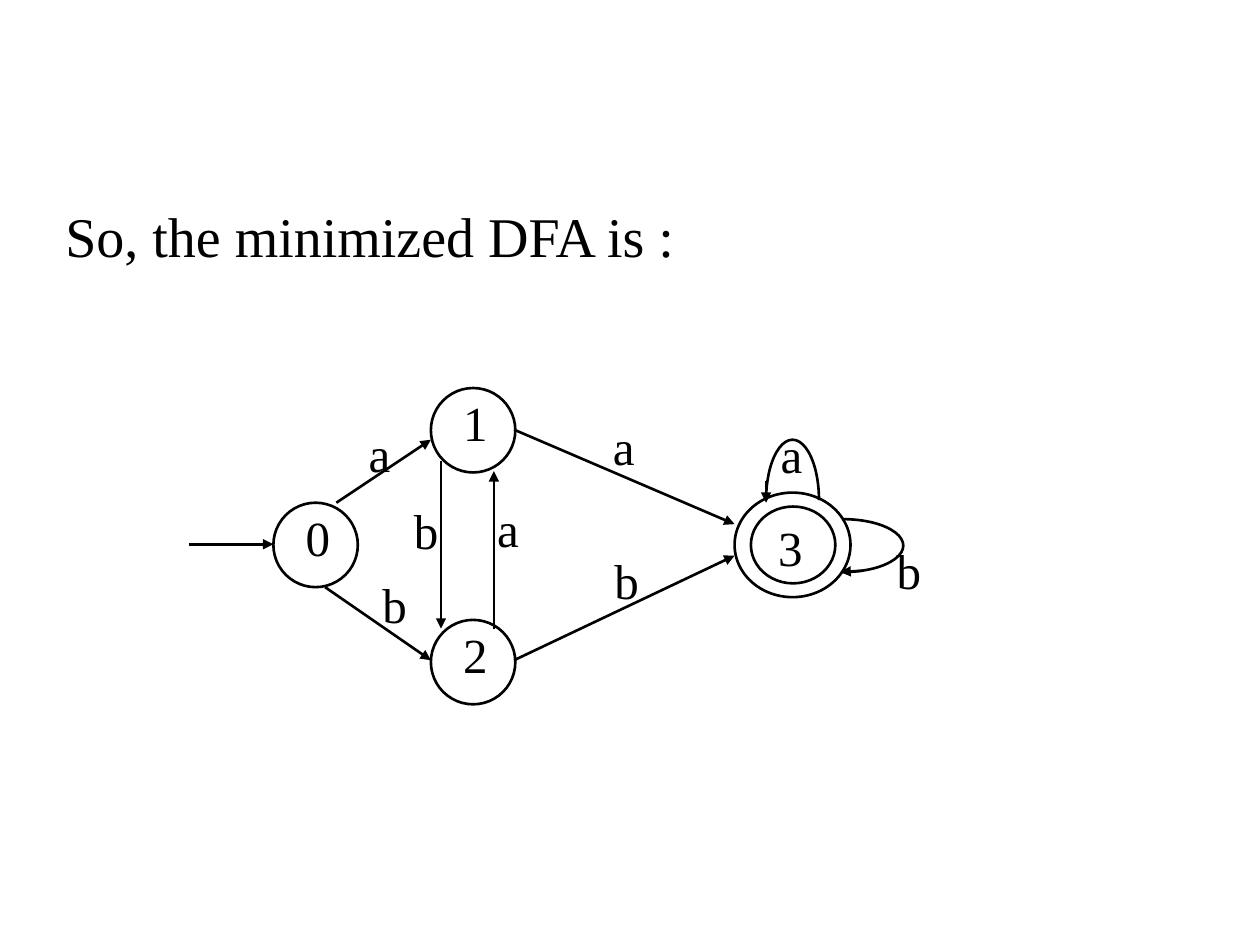
from dataclasses import dataclass

from lxml.etree import SubElement
from pptx import Presentation
from pptx.dml.color import RGBColor
from pptx.enum.shapes import MSO_CONNECTOR, MSO_SHAPE
from pptx.enum.text import MSO_AUTO_SIZE
from pptx.oxml.ns import qn
from pptx.util import Inches, Pt


@dataclass(frozen=True)
class Theme:
    ink: RGBColor = RGBColor(0, 0, 0)
    font: str = "Times New Roman"
    title: Pt = Pt(32)
    label: Pt = Pt(28)
    stroke: Pt = Pt(1.5)


THEME = Theme()
STATE_SIZE = 0.67

# All diagram coordinates are inches from its top left corner
STATES = {"0": (0.67, 0.91), "1": (1.92, 0), "2": (1.92, 1.84)}
FINAL_RINGS = [(4.33, 0.83, 0.92, 0.83), (4.46, 0.94, 0.67, 0.61)]
FINAL_LABEL = ("3", 4.48, 0.98)

# Each transition: symbol, place of the symbol, start and end of the arrow
TRANSITIONS = [
    ("", None, (0, 1.24), (0.67, 1.24)),
    ("a", (1.23, 0.23), (1.17, 0.91), (1.92, 0.41)),
    ("b", (1.34, 1.43), (1.08, 1.58), (1.92, 2.16)),
    ("b", (1.59, 0.84), (2, 0.58), (2, 1.91)),
    ("a", (2.25, 0.83), (2.42, 1.91), (2.42, 0.66)),
    ("a", (3.17, 0.18), (2.58, 0.33), (4.33, 1.08)),
    ("b", (3.18, 1.24), (2.58, 2.16), (4.33, 1.33)),
    ("a", (4.5, 0.24), (4.58, 0.74), (4.58, 0.91)),
    ("b", (5.42, 1.16), (5.34, 1.45), (5.17, 1.46)),
]

# Half ellipses of the self loops: box, start and end angle
LOOPS = [
    ((4.58, 0.41, 0.42, 0.96), 180, 0),
    ((4.71, 1.04, 0.96, 0.42), 270, 90),
]


def set_line(line):
    line.color.rgb = THEME.ink
    line.width = THEME.stroke


def add_text(slide, box, text, size, **frame):
    tf = slide.shapes.add_textbox(*map(Inches, box)).text_frame
    for name, value in frame.items():
        setattr(tf, name, value)
    p = tf.paragraphs[0]
    r = p.add_run()
    r.text = text
    for name, value in {"name": THEME.font, "size": size}.items():
        setattr(r.font, name, value)
    r.font.color.rgb = THEME.ink
    return p


def add_outline(slide, kind, box):
    sp = slide.shapes.add_shape(kind, *map(Inches, box))
    sp.shadow.inherit = False
    sp.fill.background()
    set_line(sp.line)
    return sp


def add_arrow(slide, start, end):
    cxn = slide.shapes.add_connector(
        MSO_CONNECTOR.STRAIGHT, *map(Inches, (*start, *end)))
    set_line(cxn.line)
    SubElement(cxn.line._get_or_add_ln(), qn("a:tailEnd"), type="triangle")
    SubElement(cxn._element.spPr, qn("a:effectLst"))


def add_title(slide, box):
    p = add_text(slide, box, "So, the minimized DFA is :", THEME.title,
                 word_wrap=True, margin_top=Inches(0.1))
    pPr = p._p.get_or_add_pPr()
    for name, value in {"marL": 0.38, "indent": -0.38}.items():
        pPr.set(name, str(Inches(value)))


def add_automaton(slide, box):
    left, top = box[:2]

    def at(x, y, *size):
        return (left + x, top + y, *size)

    def label(text, x, y):
        width = 0.47 if text == "a" else 0.49
        add_text(slide, at(x, y, width, 0.57), f" {text}", THEME.label,
                 word_wrap=False, auto_size=MSO_AUTO_SIZE.SHAPE_TO_FIT_TEXT)

    # States
    for name, (x, y) in STATES.items():
        add_outline(slide, MSO_SHAPE.OVAL, at(x, y, STATE_SIZE, STATE_SIZE))
        label(name, x + 0.06, y - 0.01)
    for ring in FINAL_RINGS:
        add_outline(slide, MSO_SHAPE.OVAL, at(*ring))
    label(*FINAL_LABEL)

    # Self loops; an arc adjustment of 0.6 is one degree
    for loop, first, last in LOOPS:
        arc = add_outline(slide, MSO_SHAPE.ARC, at(*loop))
        arc.adjustments[0] = first * 0.6
        arc.adjustments[1] = last * 0.6

    # Transitions
    for symbol, place, start, end in TRANSITIONS:
        add_arrow(slide, at(*start), at(*end))
        if symbol:
            label(symbol, *place)


def main():
    prs = Presentation()
    prs.slide_width, prs.slide_height = Inches(10), Inches(7.5)
    s = prs.slides.add_slide(prs.slide_layouts[6])
    add_title(s, (0.42, 1.5, 9, 0.67))
    add_automaton(s, (1.5, 3.08, 5.91, 2.51))
    prs.save("out.pptx")


if __name__ == "__main__":
    main()
